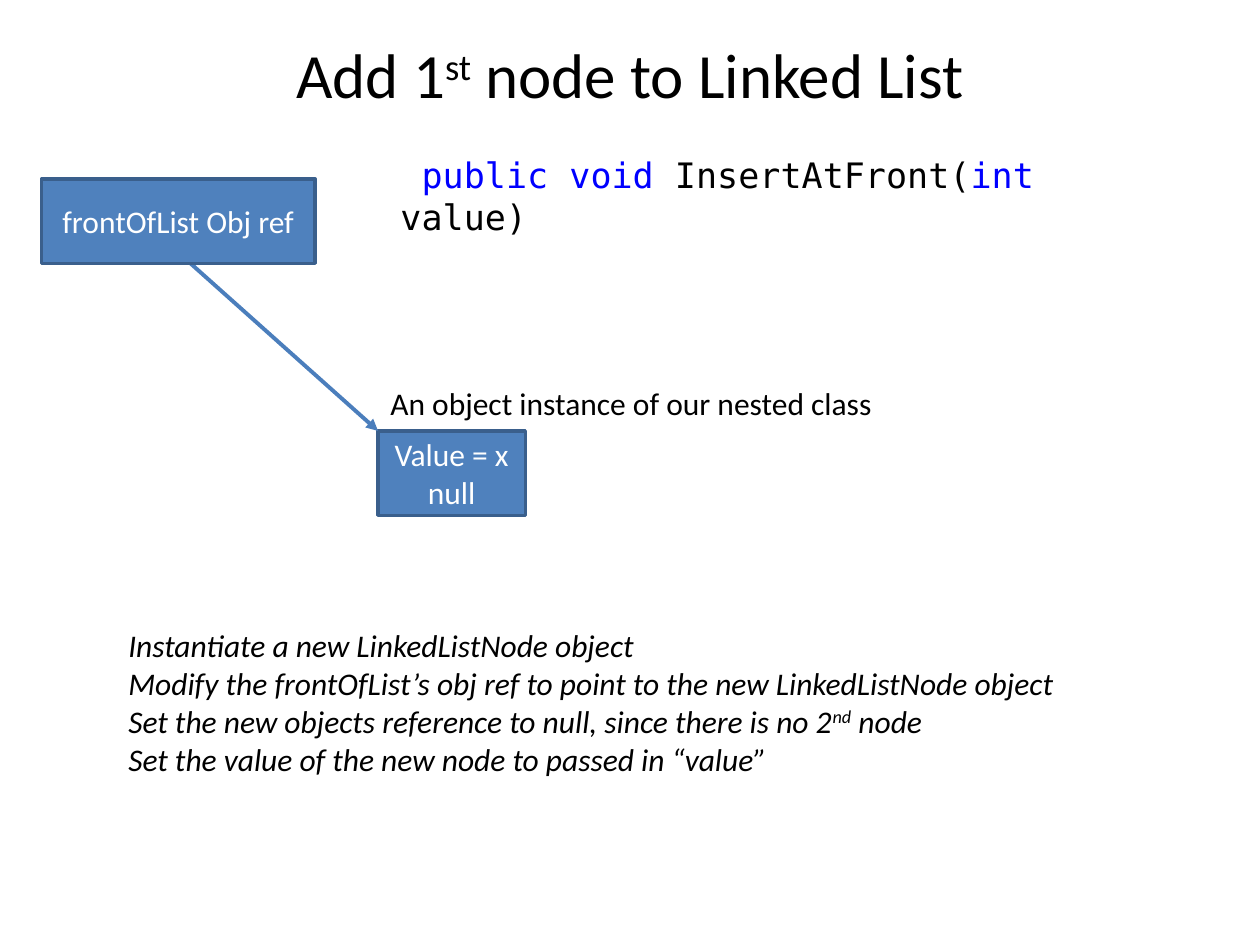
import pptx
import pptx.util
import pptx.dml.color
import pptx.enum.shapes
import pptx.enum.text
import pptx.oxml.ns
from lxml import etree

Inches = pptx.util.Inches
RGBColor = pptx.dml.color.RGBColor
Align = pptx.enum.text.PP_ALIGN
Anchor = pptx.enum.text.MSO_ANCHOR
qn = pptx.oxml.ns.qn

BLACK = RGBColor(0, 0, 0)
WHITE = RGBColor(255, 255, 255)
BLUE = RGBColor(0x4F, 0x81, 0xBD)
EDGE = RGBColor(0x3A, 0x5F, 0x8C)
ARROW = RGBColor(0x4B, 0x7E, 0xBC)
KEY = RGBColor(0, 0, 255)

SUP = {"base": 30}
WORD = {"color": KEY}
CODE = [" ", ("public", WORD), " ", ("void", WORD), " InsertAtFront(",
        ("int", WORD), " value)"]
STEPS = [
    ["Instantiate a new LinkedListNode object"],
    ["Modify the frontOfList’s obj ref to point to the new LinkedListNode object"],
    ["Set the new objects reference to null, since there is no 2",
     ("nd", SUP), " node"],
    ["Set the value of the new node to passed in “value”"],
]


def put_text(frame, paras, size=18, font="Calibri", color=BLACK,
             italic=False, align=Align.LEFT, anchor=Anchor.TOP, wrap=True):
    """Fill a frame; a run is a string or a (string, changes) pair."""
    frame.word_wrap = wrap
    frame.vertical_anchor = anchor
    for i, runs in enumerate(paras):
        para = frame.paragraphs[0] if i == 0 else frame.add_paragraph()
        para.alignment = align
        for item in runs:
            words, diff = (item, {}) if isinstance(item, str) else item
            run = para.add_run()
            run.text = words
            run.font.size = pptx.util.Pt(size)
            run.font.name = font
            run.font.italic = italic
            run.font.color.rgb = diff.get("color", color)
            if "base" in diff:
                run.font._element.set("baseline", str(diff["base"] * 1000))


def add_label(slide, box, paras, **form):
    label = slide.shapes.add_textbox(*map(Inches, box))
    put_text(label.text_frame, paras, **form)


def add_node(slide, box, paras):
    node = slide.shapes.add_shape(
        pptx.enum.shapes.MSO_SHAPE.RECTANGLE, *map(Inches, box))
    node.shadow.inherit = False
    node.fill.solid()
    node.fill.fore_color.rgb = BLUE
    node.line.color.rgb = EDGE
    node.line.width = pptx.util.Pt(2)
    put_text(node.text_frame, paras, color=WHITE, align=Align.CENTER,
             anchor=Anchor.MIDDLE)


def add_arrow(slide, start, end):
    arrow = slide.shapes.add_connector(
        pptx.enum.shapes.MSO_CONNECTOR.STRAIGHT, *map(Inches, start + end))
    arrow.line.color.rgb = ARROW
    arrow.line.width = pptx.util.Pt(2.25)
    etree.SubElement(arrow.line._get_or_add_ln(), qn("a:tailEnd"),
                     type="triangle")
    etree.SubElement(arrow._element.spPr, qn("a:effectLst"))


def set_title(slide, box, paras):
    title = slide.shapes.title
    title.left, title.top, title.width, title.height = map(Inches, box)
    put_text(title.text_frame, paras, size=36, align=Align.CENTER,
             anchor=Anchor.MIDDLE)


def main():
    deck = pptx.Presentation()
    deck.slide_width, deck.slide_height = Inches(10), Inches(7.5)
    slide = deck.slides.add_slide(deck.slide_layouts[5])

    set_title(slide, (0.5, 0.17, 9, 0.83),
              [["Add 1", ("st", SUP), " node to Linked List"]])

    # New node and its caption
    add_node(slide, (3, 3.42, 1.17, 0.67), [["Value = x"], ["null"]])
    add_label(slide, (3, 3, 4.07, 0.4),
              [["An object instance of our nested class"]], wrap=False)

    # Reference to the new node
    add_arrow(slide, (1.5, 2.08), (3, 3.42))

    # Steps and method signature
    add_label(slide, (0.92, 4.92, 7.63, 1.31), STEPS, italic=True, wrap=False)
    add_label(slide, (3.08, 1.17, 5.91, 0.44), [CODE], size=20,
              font="DejaVu Sans Mono")

    # Front of the list
    add_node(slide, (0.33, 1.42, 2.17, 0.67), [["frontOfList Obj ref"]])

    deck.save("out.pptx")


main()
